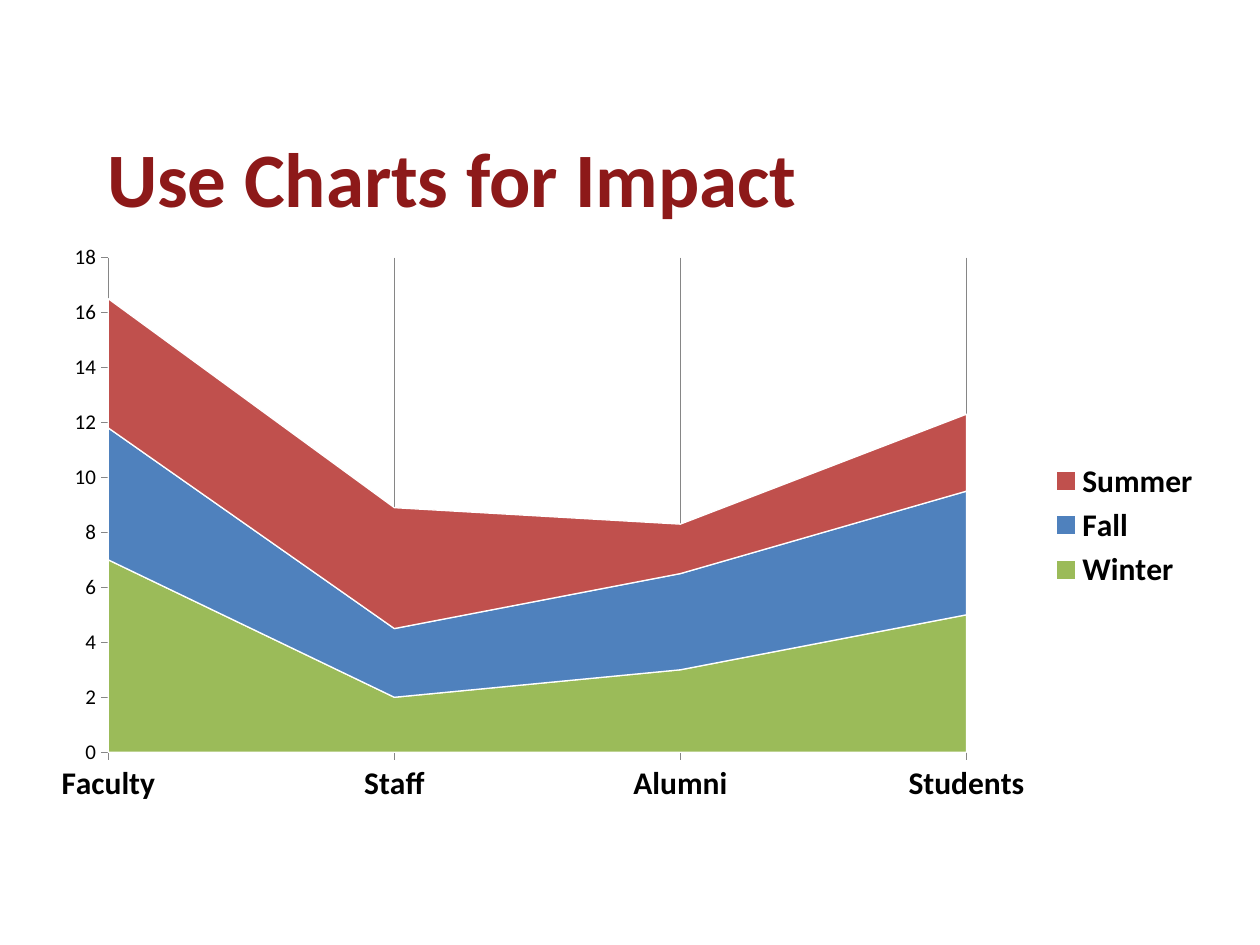
"""Build a slide with a stacked area chart of seasons by group."""
from dataclasses import dataclass
from typing import Any

import pptx
import pptx.chart.data
import pptx.dml.color
import pptx.enum.chart
import pptx.enum.text
import pptx.oxml
import pptx.oxml.ns
import pptx.util


@dataclass(frozen=True)
class Theme:
    font: str = "Calibri"
    title: str = "8D1919"
    text: str = "000000"
    line: str = "868686"
    edge: str = "FFFFFF"
    head: int = 44
    label: int = 18
    small: int = 12


@dataclass(frozen=True)
class Box:
    left: float
    top: float
    width: float
    height: float


@dataclass(frozen=True)
class Season:
    name: str
    color: str
    order: int
    values: tuple[float, ...]


THEME = Theme()
GROUPS = ("Faculty", "Staff", "Alumni", "Students")
SEASONS = (
    Season("Winter", "9BBB59", 2, (7, 2, 3, 5)),
    Season("Fall", "4F81BD", 0, (4.8, 2.5, 3.5, 4.5)),
    Season("Summer", "C0504D", 1, (4.7, 4.4, 1.8, 2.8)),
)
GRID = 100
TITLE = Box(7.5, 11.87, 87.5, 16.67)
CHART = Box(3, 24.8, 93.3, 61.6)
PLOT = Box(0.06, 0.04, 0.73, 0.85)


def apply(item: Any, values: dict[str, Any]) -> None:
    for name, value in values.items():
        setattr(item, name, value)


def rgb(code: str) -> pptx.dml.color.RGBColor:
    return pptx.dml.color.RGBColor.from_string(code)


def style(font: Any, size: int, color: str, bold: bool) -> None:
    apply(font, {"name": THEME.font, "size": pptx.util.Pt(size), "bold": bold})
    font.color.rgb = rgb(color)


def stroke(line: Any, color: str) -> None:
    line.color.rgb = rgb(color)
    line.width = pptx.util.Pt(0.75)


def place(deck: Any, box: Box) -> dict[str, int]:
    col, row = deck.slide_width / GRID, deck.slide_height / GRID
    return {
        "left": int(col * box.left),
        "top": int(row * box.top),
        "width": int(col * box.width),
        "height": int(row * box.height),
    }


def add_title(deck: Any, slide: Any, text: str) -> None:
    title = slide.shapes.title
    apply(title, place(deck, TITLE))
    frame = title.text_frame
    frame.text = text
    apply(frame, {"word_wrap": True, "vertical_anchor": pptx.enum.text.MSO_ANCHOR.MIDDLE})
    para = frame.paragraphs[0]
    apply(para, {"alignment": pptx.enum.text.PP_ALIGN.LEFT, "line_spacing": pptx.util.Pt(36)})
    style(para.runs[0].font, THEME.head, THEME.title, True)


def set_plot(chart: Any, box: Box) -> None:
    area = chart._chartSpace.chart.plotArea
    for old in area.findall(pptx.oxml.ns.qn("c:layout")):
        area.remove(old)
    parts = (("layoutTarget", "inner"), ("xMode", "edge"), ("yMode", "edge"),
             ("x", box.left), ("y", box.top), ("w", box.width), ("h", box.height))
    body = "".join(f'<c:{tag} val="{value}"/>' for tag, value in parts)
    area.insert(0, pptx.oxml.parse_xml(
        f'<c:layout {pptx.oxml.ns.nsdecls("c")}><c:manualLayout>{body}</c:manualLayout></c:layout>'))
    for cross in area.iter(pptx.oxml.ns.qn("c:crossBetween")):
        cross.set("val", "midCat")


def add_chart(deck: Any, slide: Any) -> None:
    data = pptx.chart.data.CategoryChartData()
    data.categories = GROUPS
    for season in SEASONS:
        data.add_series(season.name, season.values)
    kind = pptx.enum.chart.XL_CHART_TYPE.AREA_STACKED
    chart = slide.shapes.add_chart(kind, *place(deck, CHART).values(), data).chart
    apply(chart, {"has_title": False, "has_legend": True})
    style(chart.font, THEME.label, THEME.text, False)
    apply(chart.legend, {"position": pptx.enum.chart.XL_LEGEND_POSITION.RIGHT,
                         "include_in_layout": False})
    style(chart.legend.font, THEME.label, THEME.text, True)
    for axis, size, bold in ((chart.category_axis, THEME.label, True),
                             (chart.value_axis, THEME.small, False)):
        apply(axis, {"has_major_gridlines": bold,
                     "major_tick_mark": pptx.enum.chart.XL_TICK_MARK.OUTSIDE,
                     "minor_tick_mark": pptx.enum.chart.XL_TICK_MARK.NONE})
        style(axis.tick_labels.font, size, THEME.text, bold)
        stroke(axis.format.line, THEME.line)
    stroke(chart.category_axis.major_gridlines.format.line, THEME.line)
    apply(chart.value_axis, {"minimum_scale": 0, "maximum_scale": 18, "major_unit": 2})
    plot = chart.plots[0]
    plot.vary_by_categories = False
    for series, season in zip(list(plot.series), SEASONS):
        series.format.fill.solid()
        series.format.fill.fore_color.rgb = rgb(season.color)
        stroke(series.format.line, THEME.edge)
        series._element.find(pptx.oxml.ns.qn("c:order")).set("val", str(season.order))
    set_plot(chart, PLOT)


def main() -> None:
    deck = pptx.Presentation()
    apply(deck, {"slide_width": pptx.util.Inches(10), "slide_height": pptx.util.Inches(7.5)})
    slide = deck.slides.add_slide(deck.slide_layouts[5])
    add_title(deck, slide, "Use Charts for Impact")
    add_chart(deck, slide)
    deck.save("out.pptx")


if __name__ == "__main__":
    main()
